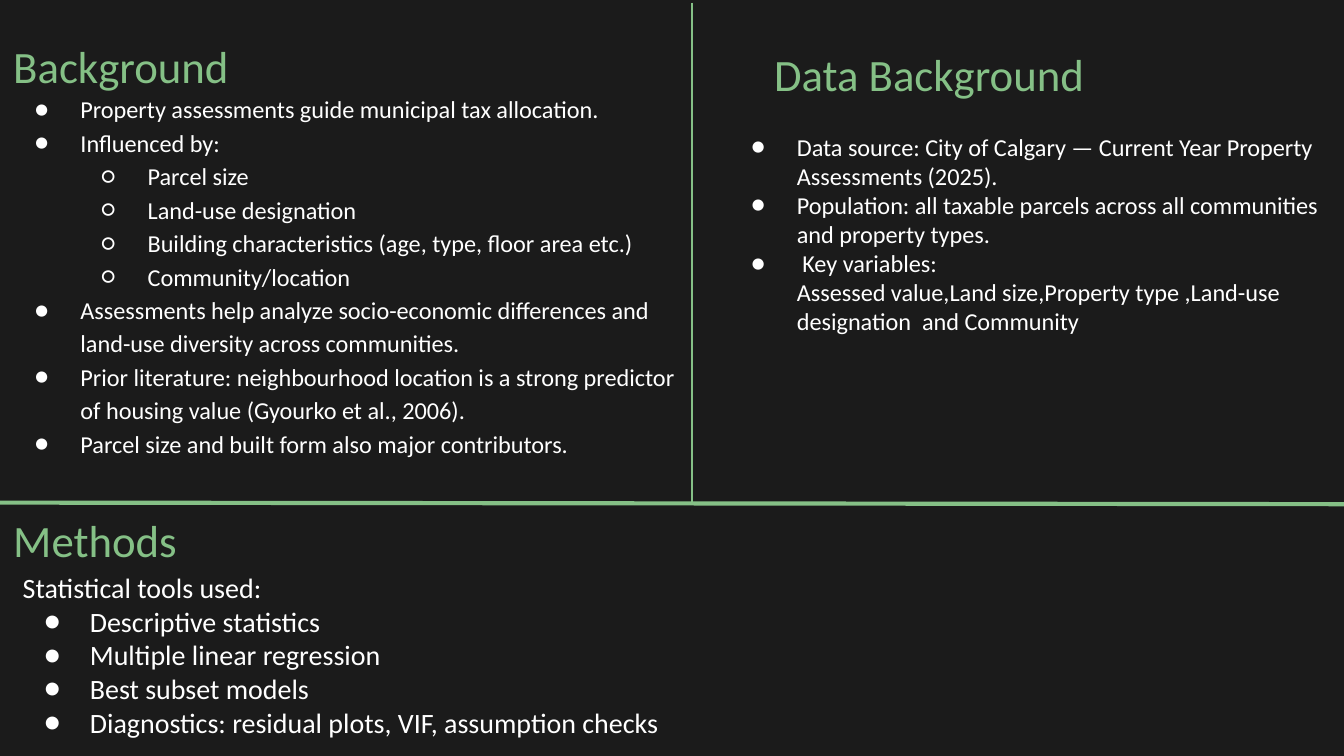
"""Build a three-section slide: background, data background and methods."""
from lxml import etree
from pptx import Presentation
from pptx import util as u
from pptx.dml.color import RGBColor
from pptx.enum import shapes, text
from pptx.oxml.ns import qn

THEME = {
    "font": "Calibri", "ground": "1B1B1B", "accent": "85C086", "ink": "FFFFFF",
    "heading": 24, "list": 13, "methods": 15,
}
SLIDE_SIZE = (25.4, 14.29)
MARGIN = 0.25
STEP = 1.27
HANGING = -0.87
BULLETS = {0: "●", 1: "○"}
PLAIN, CONTINUED = "plain", "continued"

HEADINGS = [
    (0, "Background", (0, 0.48, 5.11, 1.6)),
    (1, "Data Background", (14.38, 0.64, 8.53, 1.6)),
    (3, "Methods", (0, 9.45, 11.25, 1.17)),
]

LISTS = [
    {"placeholder": 2, "place": (0, 1.45, 13.11, 6.5), "size": "list", "spacing": 1.15, "items": [
        (0, "Property assessments guide municipal tax allocation."),
        (0, "Influenced by:"),
        (1, "Parcel size"),
        (1, "Land-use designation"),
        (1, "Building characteristics (age, type, floor area etc.)"),
        (1, "Community/location"),
        (0, "Assessments help analyze socio-economic differences and land-use diversity across communities."),
        (0, "Prior literature: neighbourhood location is a strong predictor of housing value (Gyourko et al., 2006)."),
        (0, "Parcel size and built form also major contributors."),
    ]},
    {"placeholder": 4, "place": (13.54, 2.24, 11.86, 4.95), "size": "list", "spacing": 1.0, "items": [
        (0, "Data source: City of Calgary — Current Year Property Assessments (2025)."),
        (0, "Population: all taxable parcels across all communities and property types."),
        (0, " Key variables:"),
        (CONTINUED, "Assessed value,Land size,Property type ,Land-use designation  and Community"),
    ]},
    {"placeholder": None, "place": (0.18, 10.54, 15.52, 3.71), "size": "methods", "spacing": 1.0, "items": [
        (PLAIN, "Statistical tools used:"),
        (0, "Descriptive statistics"),
        (0, "Multiple linear regression"),
        (0, "Best subset models"),
        (0, "Diagnostics: residual plots, VIF, assumption checks"),
    ]},
]

DIVIDERS = [
    ((0, 9.5, 25.4, 9.53), 2.25),
    ((13.08, 0.05, 13.08, 9.52), 0.75),
]


def color(role):
    return RGBColor.from_string(THEME[role])


def apply(target, formats):
    for attribute, value in formats.items():
        setattr(target, attribute, value)


def prepare(box, place):
    apply(box, dict(zip(("left", "top", "width", "height"), map(u.Cm, place))))
    frame = box.text_frame
    apply(frame, {
        "word_wrap": True, "auto_size": text.MSO_AUTO_SIZE.NONE,
        "vertical_anchor": text.MSO_ANCHOR.TOP,
        **{f"margin_{side}": u.Cm(MARGIN) for side in ("left", "right", "top", "bottom")},
    })
    return frame


def write(paragraph, words, size, ink, spacing=1.0):
    apply(paragraph, {"alignment": text.PP_ALIGN.LEFT, "line_spacing": spacing,
                      "space_before": u.Pt(0), "space_after": u.Pt(0)})
    run = paragraph.add_run()
    run.text = words
    apply(run.font, {"name": THEME["font"], "size": u.Pt(THEME[size]), "bold": False})
    run.font.color.rgb = color(ink)


def set_bullet(paragraph, kind):
    properties = paragraph._p.get_or_add_pPr()
    level = kind if kind in BULLETS else 0
    paragraph.level = level
    properties.set("marL", str(0 if kind == PLAIN else u.Cm(STEP * (level + 1))))
    properties.set("indent", str(u.Cm(HANGING) if kind in BULLETS else 0))
    if kind in BULLETS:
        tint = etree.SubElement(properties, qn("a:buClr"))
        etree.SubElement(tint, qn("a:srgbClr"), val=THEME["ink"])
        etree.SubElement(properties, qn("a:buFont"), typeface=THEME["font"])
        etree.SubElement(properties, qn("a:buChar"), char=BULLETS[kind])
    else:
        etree.SubElement(properties, qn("a:buNone"))


def add_list(slide, section):
    index = section["placeholder"]
    if index is None:
        box = slide.shapes.add_textbox(*map(u.Cm, section["place"]))
    else:
        box = slide.placeholders[index]
    frame = prepare(box, section["place"])
    for number, (kind, words) in enumerate(section["items"]):
        paragraph = frame.add_paragraph() if number else frame.paragraphs[0]
        set_bullet(paragraph, kind)
        write(paragraph, words, section["size"], "ink", section["spacing"])


def add_divider(slide, ends, weight):
    divider = slide.shapes.add_connector(shapes.MSO_CONNECTOR.STRAIGHT, *map(u.Cm, ends))
    divider.line.color.rgb = color("accent")
    divider.line.width = u.Pt(weight)
    etree.SubElement(divider._element.spPr, qn("a:effectLst"))


def main():
    deck = Presentation()
    deck.slide_width, deck.slide_height = map(u.Cm, SLIDE_SIZE)
    slide = deck.slides.add_slide(deck.slide_layouts.get_by_name("Comparison"))
    slide.background.fill.solid()
    slide.background.fill.fore_color.rgb = color("ground")
    for index, words, place in HEADINGS:
        heading = prepare(slide.placeholders[index], place).paragraphs[0]
        write(heading, words, "heading", "accent")
    for section in LISTS:
        add_list(slide, section)
    for ends, weight in DIVIDERS:
        add_divider(slide, ends, weight)
    deck.save("out.pptx")


if __name__ == "__main__":
    main()
